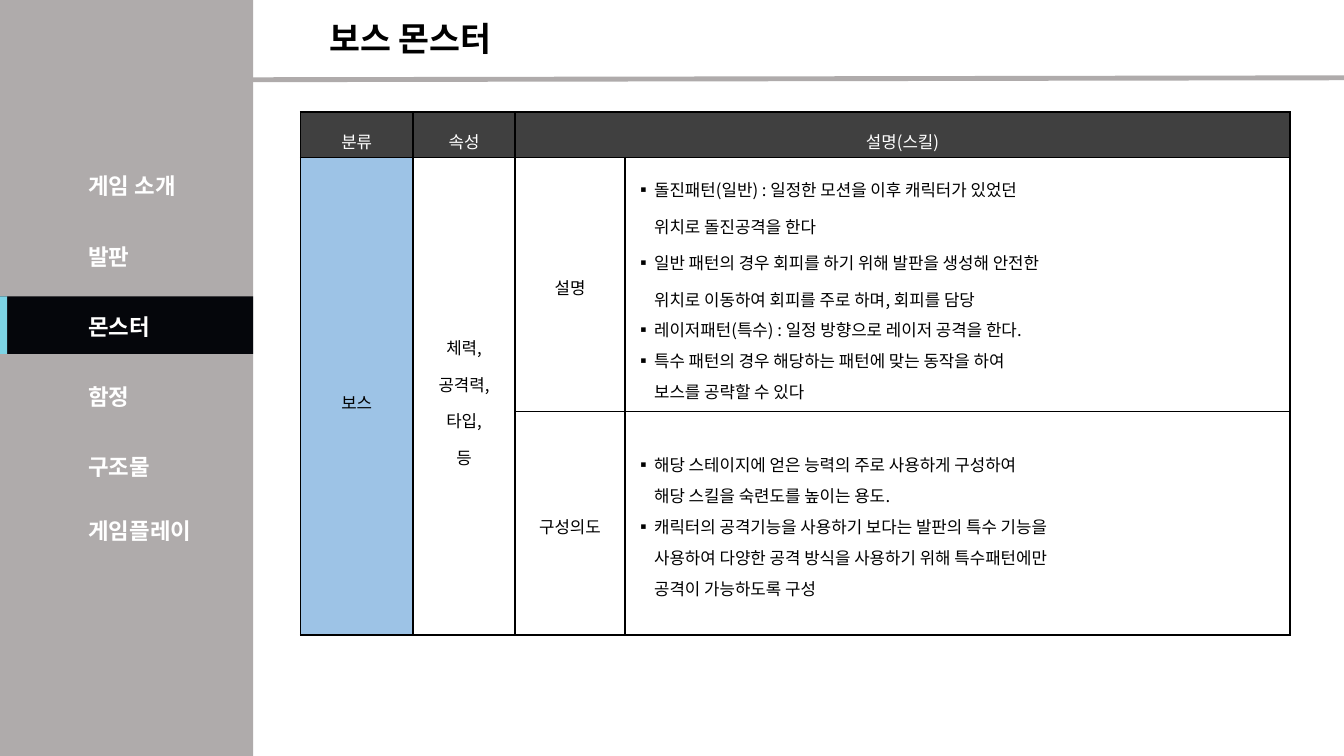
import pptx
import pptx.util
import pptx.dml.color
import pptx.enum.shapes
import pptx.enum.text
import pptx.oxml.ns
import lxml.etree

Cm = pptx.util.Cm
Pt = pptx.util.Pt
RGBColor = pptx.dml.color.RGBColor
qn = pptx.oxml.ns.qn

FONT = "Noto Sans CJK KR"
WHITE = RGBColor(0xFF, 0xFF, 0xFF)
BLACK = RGBColor(0, 0, 0)
GRAY = RGBColor(0xAF, 0xAB, 0xAB)
NIGHT = RGBColor(0x05, 0x06, 0x0B)
CYAN = RGBColor(0x7D, 0xD4, 0xE5)
DARK = RGBColor(0x40, 0x40, 0x40)
BLUE = RGBColor(0x9D, 0xC3, 0xE6)

SIDE = 6.38  # sidebar width in cm
MENU = ["게임 소개", "발판", "몬스터", "함정", "구조물"]
COLS = [2.84, 2.57, 2.77, 16.76]
ROWS = [1.14, 6.4, 5.64]
HEADS = ["분류", "속성", "설명(스킬)"]
SKILLS = [
    ("돌진패턴(일반) : 일정한 모션을 이후 캐릭터가 있었던\n위치로 돌진공격을 한다", 1.5),
    ("일반 패턴의 경우 회피를 하기 위해 발판을 생성해 안전한\n"
     "위치로 이동하여 회피를 주로 하며, 회피를 담당", 1.5),
    ("레이저패턴(특수) : 일정 방향으로 레이저 공격을 한다.", Pt(22)),
    ("특수 패턴의 경우 해당하는 패턴에 맞는 동작을 하여\n보스를 공략할 수 있다", Pt(22)),
]
GOALS = [
    ("해당 스테이지에 얻은 능력의 주로 사용하게 구성하여\n해당 스킬을 숙련도를 높이는 용도.", Pt(22)),
    ("캐릭터의 공격기능을 사용하기 보다는 발판의 특수 기능을\n"
     "사용하여 다양한 공격 방식을 사용하기 위해 특수패턴에만\n공격이 가능하도록 구성", Pt(22)),
]


def add_node(parent, tag, **attrs):
    return lxml.etree.SubElement(parent, qn(tag), attrs)


def set_font(para, size, color, bold=False):
    font = para.font
    font.size, font.name, font.bold = Pt(size), FONT, bold
    font.color.rgb = color
    props = para._p.pPr.find(qn("a:defRPr"))
    add_node(props, "a:ea", typeface=FONT)


def add_bar(slide, left, top, width, height, color):
    bar = slide.shapes.add_shape(
        pptx.enum.shapes.MSO_SHAPE.RECTANGLE,
        Cm(left), Cm(top), Cm(width), Cm(height))
    bar.shadow.inherit = False
    bar.fill.solid()
    bar.fill.fore_color.rgb = color
    bar.line.fill.background()


def add_rule(slide, x1, y1, x2, y2):
    rule = slide.shapes.add_connector(
        pptx.enum.shapes.MSO_CONNECTOR.STRAIGHT, Cm(x1), Cm(y1), Cm(x2), Cm(y2))
    rule.line.color.rgb = GRAY
    rule.line.width = Pt(3.5)
    add_node(rule._element.spPr, "a:effectLst")


def add_label(slide, text, left, top, width, height, size, color):
    box = slide.shapes.add_textbox(Cm(left), Cm(top), Cm(width), Cm(height))
    frame = box.text_frame
    frame.word_wrap = False
    frame.auto_size = pptx.enum.text.MSO_AUTO_SIZE.SHAPE_TO_FIT_TEXT
    para = frame.paragraphs[0]
    para.text = text
    set_font(para, size, color, True)


def style_cell(cell, color):
    props = cell._tc.get_or_add_tcPr()
    for side in ("a:lnL", "a:lnR", "a:lnT", "a:lnB"):
        edge = add_node(props, side, w=str(Pt(1)))
        add_node(add_node(edge, "a:solidFill"), "a:srgbClr", val=str(BLACK))
    cell.fill.solid()
    cell.fill.fore_color.rgb = color
    cell.vertical_anchor = pptx.enum.text.MSO_ANCHOR.MIDDLE


def fill_cell(cell, items, color=BLACK, bullet=False):
    frame = cell.text_frame
    for i, (text, space) in enumerate(items):
        para = frame.add_paragraph() if i else frame.paragraphs[0]
        para.text = text
        para.line_spacing = space
        if bullet:
            props = para._p.get_or_add_pPr()
            props.set("marL", str(Cm(0.48)))
            props.set("indent", str(-Cm(0.48)))
            add_node(props, "a:buFont", typeface=FONT)
            add_node(props, "a:buChar", char="▪")
        else:
            para.alignment = pptx.enum.text.PP_ALIGN.CENTER
        set_font(para, 12, color)


def add_grid(slide):
    grid = slide.shapes.add_table(
        len(ROWS), len(COLS), Cm(7.57), Cm(2.82), Cm(sum(COLS)), Cm(sum(ROWS))).table
    grid.first_row = grid.horz_banding = False
    for col, width in zip(grid.columns, COLS):
        col.width = Cm(width)
    for row, height in zip(grid.rows, ROWS):
        row.height = Cm(height)
    for r in range(len(ROWS)):
        for c in range(len(COLS)):
            style_cell(grid.cell(r, c), DARK if r == 0 else BLUE if c == 0 else WHITE)

    # Joined cells
    grid.cell(0, 2).merge(grid.cell(0, 3))
    for c in range(2):
        grid.cell(1, c).merge(grid.cell(2, c))

    # Cell text
    for c, head in enumerate(HEADS):
        fill_cell(grid.cell(0, c), [(head, 1.5)], WHITE)
    fill_cell(grid.cell(1, 0), [("보스", 1.5)])
    fill_cell(grid.cell(1, 1), [("체력,\n공격력,\n타입,", 1.5), ("등", 1.5)])
    for r, (name, items) in enumerate([("설명", SKILLS), ("구성의도", GOALS)], 1):
        fill_cell(grid.cell(r, 2), [(name, Pt(22))])
        fill_cell(grid.cell(r, 3), items, bullet=True)


def main():
    deck = pptx.Presentation()
    deck.slide_width, deck.slide_height = Cm(33.87), Cm(19.05)
    slide = deck.slides.add_slide(deck.slide_layouts[6])

    # Sidebar and the current entry
    add_bar(slide, 0, 0, SIDE, 19.05, GRAY)
    add_rule(slide, SIDE, 2.01, 33.87, 1.96)
    add_bar(slide, 0, 7.47, SIDE, 1.45, NIGHT)
    add_bar(slide, 0, 7.47, 0.18, 1.45, CYAN)

    # Menu: even steps, with the last entry a little closer
    tops = [4.22 + 1.77 * i for i in range(len(MENU))] + [12.9]
    for text, top in zip(MENU + ["게임플레이"], tops):
        add_label(slide, text, 1.98, top, 0.5 + 0.57 * len(text), 0.94, 16, WHITE)

    # Title and table
    add_label(slide, "보스 몬스터", 8.05, 0.33, 5.08, 1.27, 24, BLACK)
    add_grid(slide)
    deck.save("out.pptx")


if __name__ == "__main__":
    main()
